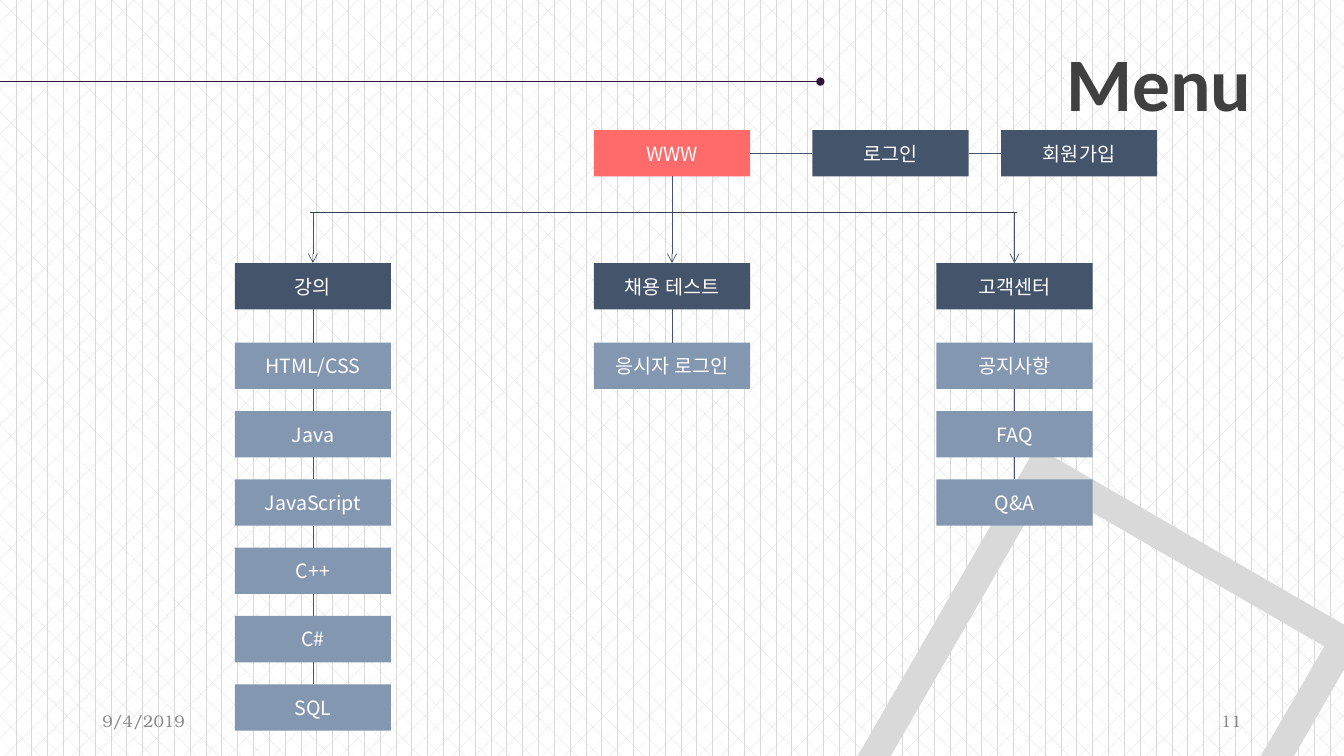
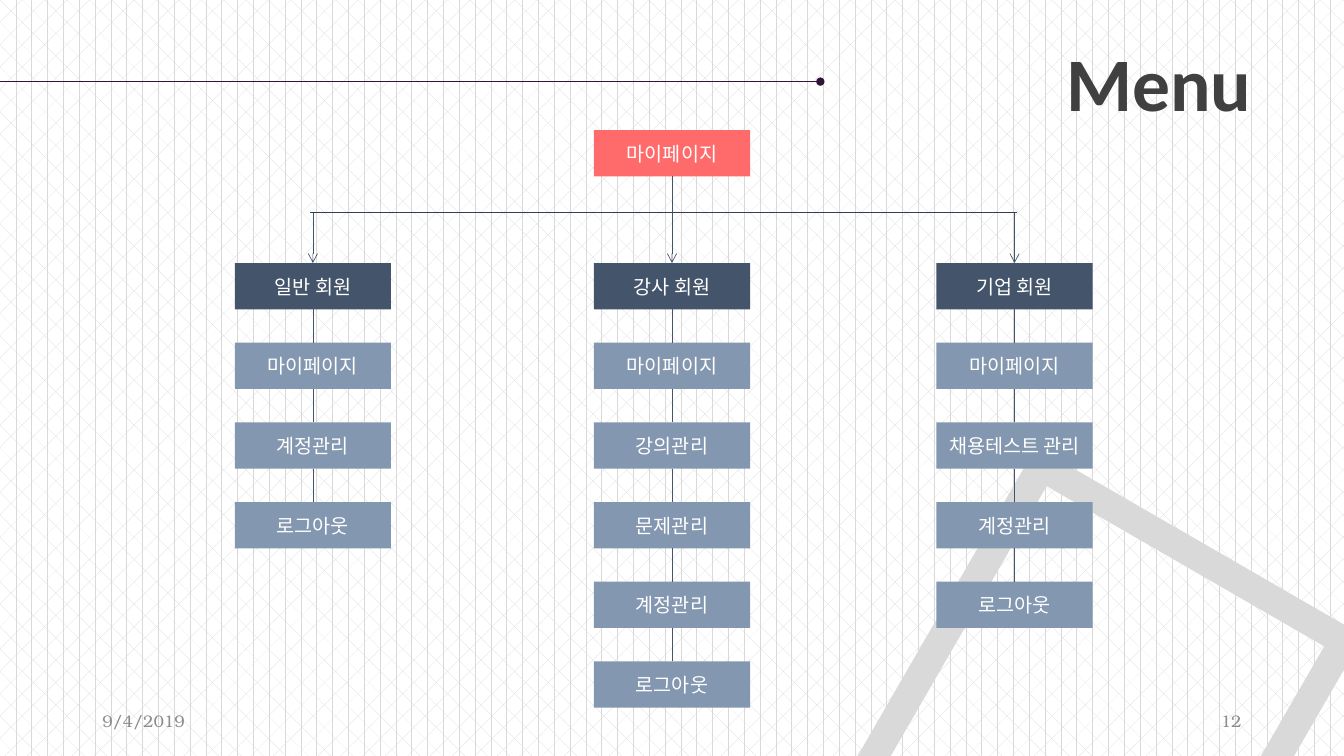
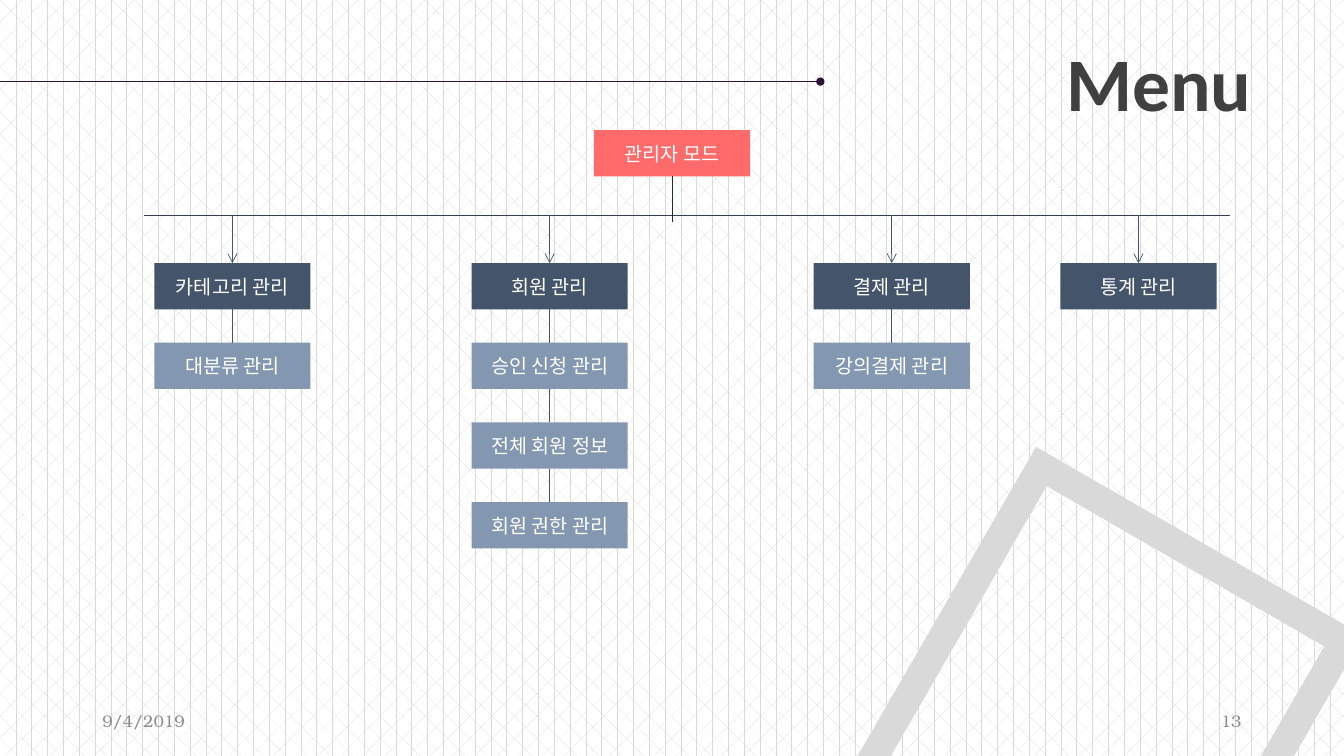
import pptx
import pptx.util
import pptx.dml.color
import pptx.enum.dml
import pptx.enum.shapes
import pptx.enum.text
import pptx.oxml.ns
import lxml.etree

Pt = pptx.util.Pt
RGBColor = pptx.dml.color.RGBColor
PP_ALIGN = pptx.enum.text.PP_ALIGN
MSO_ANCHOR = pptx.enum.text.MSO_ANCHOR
MSO_SHAPE = pptx.enum.shapes.MSO_SHAPE
qn = pptx.oxml.ns.qn

COLORS = {
    "white": "FFFFFF", "pattern": "D9D9D9", "title": "404040", "footer": "8C8C8C",
    "rule": "2E1437", "root": "FF6B6B", "header": "44546A", "item": "8497B0",
    "bus": "333F50", "stem": "222A35",
}
MENU_FONT = "Noto Sans CJK KR"
FOOTER_FONT = "TeX Gyre Bonum"
BOX_WIDTH, BOX_HEIGHT = 111.6, 33.1
ROOT_CENTER, ROOT_TOP = 480, 92.9
HEADER_TOP, ITEM_TOP = 187.9, 244.8

PAGES = [
    {
        "number": "11", "root": "WWW", "step": 48.8, "bus": (221.8, 726.5, 152),
        "side": [("로그인", 636.1), ("회원가입", 770.8)],
        "columns": [
            (223.5, "강의", ["HTML/CSS", "Java", "JavaScript", "C++", "C#", "SQL"]),
            (480, "채용 테스트", ["응시자 로그인"]),
            (724.7, "고객센터", ["공지사항", "FAQ", "Q&A"]),
        ],
    },
    {
        "number": "12", "root": "마이페이지", "step": 56.9, "bus": (221.8, 726.5, 152),
        "side": [],
        "columns": [
            (223.5, "일반 회원", ["마이페이지", "계정관리", "로그아웃"]),
            (480, "강사 회원", ["마이페이지", "강의관리", "문제관리", "계정관리", "로그아웃"]),
            (724.7, "기업 회원", ["마이페이지", "채용테스트 관리", "계정관리", "로그아웃"]),
        ],
    },
    {
        "number": "13", "root": "관리자 모드", "step": 56.9, "bus": (103, 878.4, 153.7),
        "side": [],
        "columns": [
            (166, "카테고리 관리", ["대분류 관리"]),
            (392.6, "회원 관리", ["승인 신청 관리", "전체 회원 정보", "회원 권한 관리"]),
            (637, "결제 관리", ["강의결제 관리"]),
            (813.2, "통계 관리", []),
        ],
    },
]


def add_text(slide, text, left, top, width=BOX_WIDTH, height=BOX_HEIGHT, fill=None,
             size=14, font=MENU_FONT, color="white", align=PP_ALIGN.CENTER):
    bounds = Pt(left), Pt(top), Pt(width), Pt(height)
    if fill:
        shape = slide.shapes.add_shape(MSO_SHAPE.RECTANGLE, *bounds)
        shape.shadow.inherit = False
        shape.fill.solid()
        shape.fill.fore_color.rgb = RGBColor.from_string(COLORS[fill])
        shape.line.fill.background()
    else:
        shape = slide.shapes.add_textbox(*bounds)
    frame = shape.text_frame
    frame.word_wrap = True
    frame.vertical_anchor = MSO_ANCHOR.MIDDLE
    paragraph = frame.paragraphs[0]
    paragraph.alignment = align
    run = paragraph.add_run()
    run.text = text
    run.font.size = Pt(size)
    run.font.name = font
    run.font.color.rgb = RGBColor.from_string(COLORS[color])
    lxml.etree.SubElement(run.font._element, qn("a:ea"), typeface=font)
    return shape


def add_line(slide, start=(0, 0), end=(0, 0), color="header", head=None,
             begin_box=None, end_box=None, sides=(2, 0)):
    connector = slide.shapes.add_connector(
        pptx.enum.shapes.MSO_CONNECTOR.STRAIGHT,
        Pt(start[0]), Pt(start[1]), Pt(end[0]), Pt(end[1]))
    if begin_box is not None:
        connector.begin_connect(begin_box, sides[0])
    if end_box is not None:
        connector.end_connect(end_box, sides[1])
    connector.line.width = Pt(0.5)
    connector.line.color.rgb = RGBColor.from_string(COLORS[color])
    if head:
        lxml.etree.SubElement(connector.line._get_or_add_ln(), qn("a:tailEnd"), type=head)
    lxml.etree.SubElement(connector._element.spPr, qn("a:effectLst"))


presentation = pptx.Presentation()
presentation.slide_width = Pt(960)
presentation.slide_height = Pt(540)

background = presentation.slide_master.background.fill
background.patterned()
background.pattern = pptx.enum.dml.MSO_PATTERN.DIVOT
background.fore_color.rgb = RGBColor.from_string(COLORS["pattern"])
background.back_color.rgb = RGBColor.from_string(COLORS["white"])

for page in PAGES:
    slide = presentation.slides.add_slide(presentation.slide_layouts[6])

    corner = slide.shapes.add_shape(MSO_SHAPE.FRAME, Pt(654.5), Pt(368.6), Pt(270), Pt(270))
    corner.adjustments[0] = 0.076
    corner.rotation = 30
    corner.shadow.inherit = False
    corner.fill.solid()
    corner.fill.fore_color.rgb = RGBColor.from_string(COLORS["pattern"])
    corner.line.fill.background()

    add_text(slide, "9/4/2019", 66, 500.4, 216, 28.8, size=12, font=FOOTER_FONT,
             color="footer", align=PP_ALIGN.LEFT)
    add_text(slide, page["number"], 678, 500.4, 216, 28.8, size=12, font=FOOTER_FONT,
             color="footer", align=PP_ALIGN.RIGHT)
    add_line(slide, (0, 58.3), (586, 58.3), "rule", "oval")
    title = add_text(slide, "Menu", 66, 26, 828, 65.5, size=54, font="Calibri",
                     color="title", align=PP_ALIGN.RIGHT)
    title.text_frame.paragraphs[0].runs[0].font.bold = True
    title.text_frame.vertical_anchor = MSO_ANCHOR.TOP
    title.text_frame.margin_left = title.text_frame.margin_right = 0
    title.text_frame.margin_top = title.text_frame.margin_bottom = 0

    root = add_text(slide, page["root"], ROOT_CENTER - BOX_WIDTH / 2, ROOT_TOP, fill="root")
    previous = root
    for label, center in page["side"]:
        box = add_text(slide, label, center - BOX_WIDTH / 2, ROOT_TOP, fill="header")
        add_line(slide, begin_box=previous, end_box=box, sides=(3, 1))
        previous = box

    bus_left, bus_right, bus_top = page["bus"]
    add_line(slide, (bus_left, bus_top), (bus_right, bus_top), "bus")
    if ROOT_CENTER not in [column[0] for column in page["columns"]]:
        add_line(slide, end=(ROOT_CENTER, 158.4), color="stem", begin_box=root)

    for center, label, items in page["columns"]:
        left = center - BOX_WIDTH / 2
        header = add_text(slide, label, left, HEADER_TOP, fill="header")
        source = root if center == ROOT_CENTER else None
        add_line(slide, start=(center, bus_top), head="arrow", begin_box=source, end_box=header)
        previous = header
        for index, item in enumerate(items):
            box = add_text(slide, item, left, ITEM_TOP + index * page["step"], fill="item")
            add_line(slide, begin_box=previous, end_box=box)
            previous = box

presentation.save("out.pptx")
